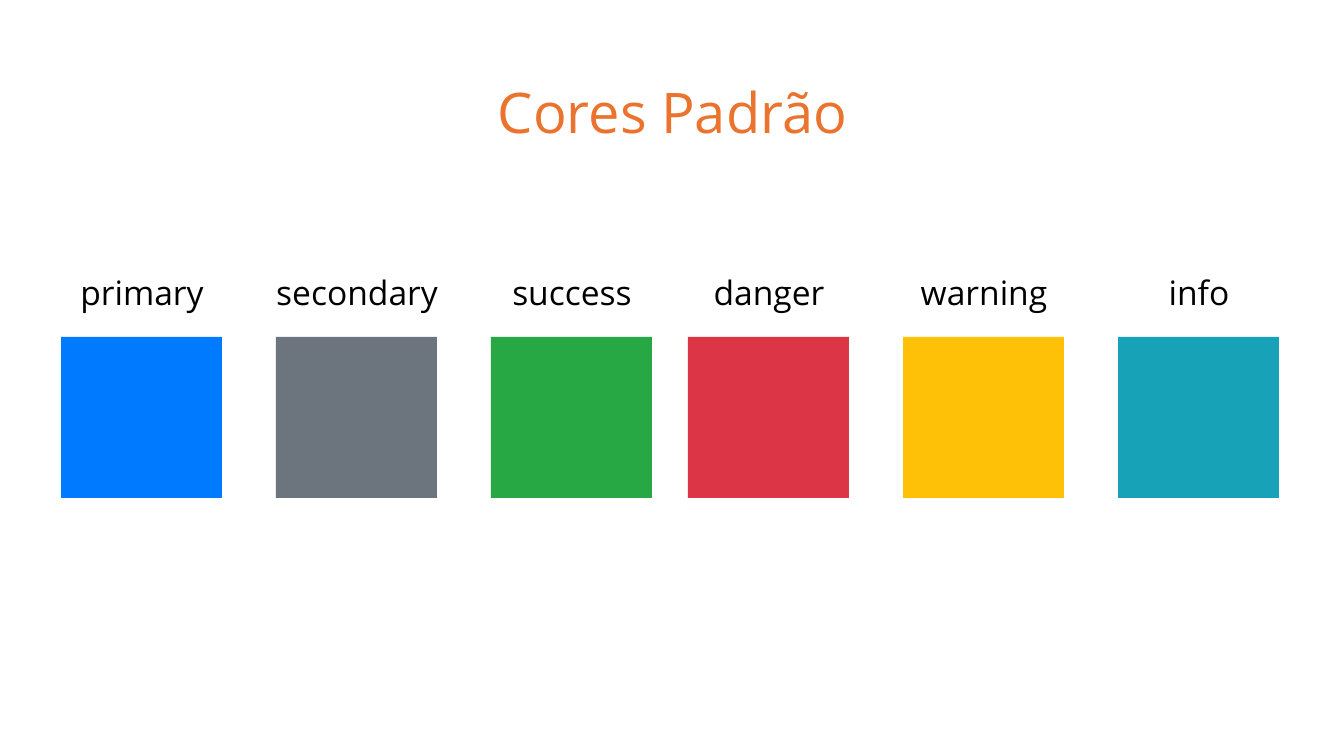
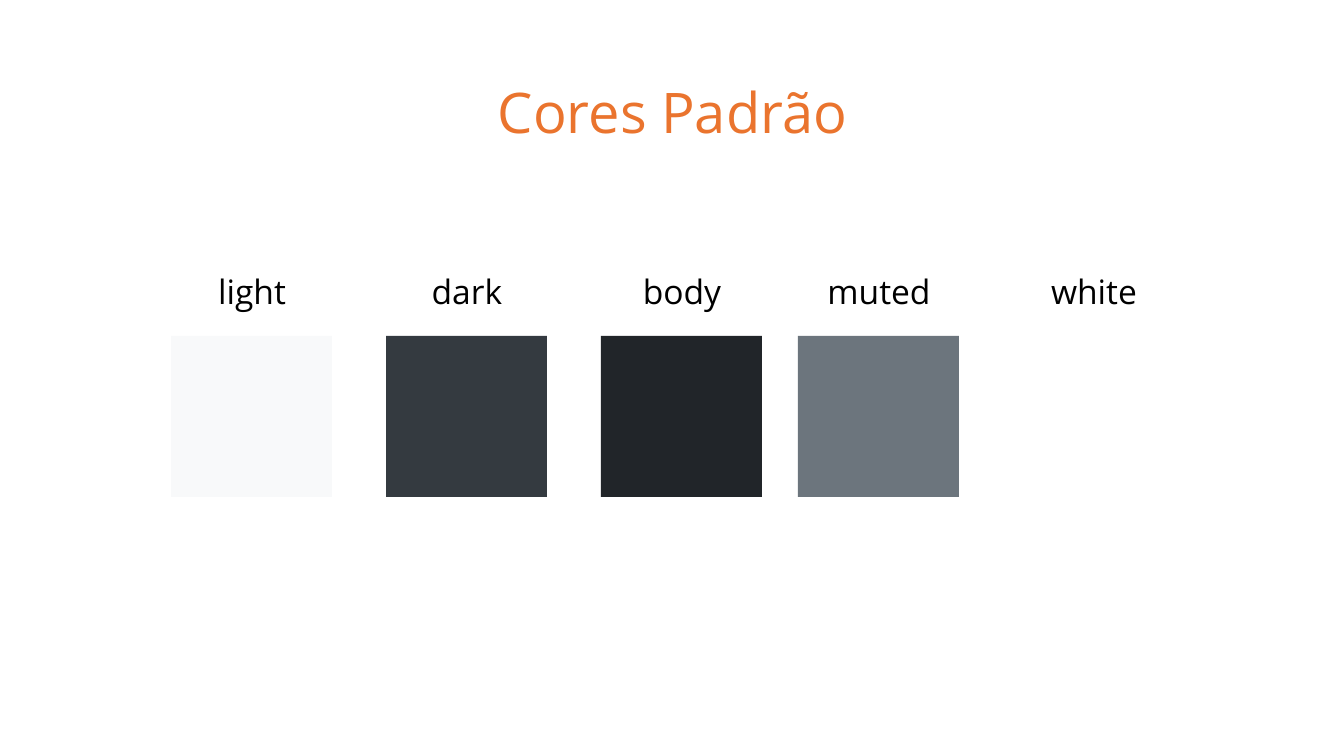
from dataclasses import dataclass

from pptx import Presentation
from pptx.dml.color import RGBColor
from pptx.enum.shapes import MSO_SHAPE as Preset
from pptx.enum.text import MSO_ANCHOR as Anchor, MSO_AUTO_SIZE as AutoSize, PP_ALIGN as Align
from pptx.util import Emu, Pt

PX_PER_INCH = 134.4
FONT = "Open Sans"
ORANGE = "EA742E"
BLACK = "000000"
HEADING = "Cores Padrão"

INSET = 13
SWATCH_SIZE = 161
SWATCH_PITCH = 215
GROUP_SIZE = 3  # swatches before the tighter gap
GROUP_PULL = 18
LABEL_WIDTH, LABEL_HEIGHT = 192, 66
LABEL_SHIFT, LABEL_RISE = 15, 78


@dataclass(frozen=True)
class Swatch:
    label: str
    fill: str


@dataclass(frozen=True)
class Palette:
    left: int
    top: int
    swatches: tuple[Swatch, ...]


PALETTES = (
    Palette(61, 337, (
        Swatch("primary", "007BFF"),
        Swatch("secondary", "6C757D"),
        Swatch("success", "28A745"),
        Swatch("danger", "DC3545"),
        Swatch("warning", "FFC107"),
        Swatch("info", "17A2B8"),
    )),
    Palette(171, 336, (
        Swatch("light", "F8F9FA"),
        Swatch("dark", "343A40"),
        Swatch("body", "212529"),
        Swatch("muted", "6C757D"),
        Swatch("white", "FFFFFF"),
    )),
)


def px(length: int) -> Emu:
    return Emu(round(length * 914400 / PX_PER_INCH))


def color(value: str) -> RGBColor:
    return RGBColor.from_string(value)


def write(shape, text: str, size: int, ink: str) -> None:
    """Fill a shape with one centred line in the deck's type style."""
    frame = shape.text_frame
    frame.text = text
    frame.word_wrap = True
    frame.auto_size = AutoSize.NONE
    frame.vertical_anchor = Anchor.TOP
    frame.margin_left = frame.margin_right = px(INSET)
    frame.margin_top = frame.margin_bottom = px(INSET)
    line = frame.paragraphs[0]
    line.alignment = Align.CENTER
    line.space_after = Pt(10)
    font = line.runs[0].font
    font.name = FONT
    font.size = Pt(size)
    font.color.rgb = color(ink)


def add_heading(slide) -> None:
    heading = slide.shapes.title
    heading.left, heading.top = px(46), px(65)
    heading.width, heading.height = px(1253), px(85)
    write(heading, HEADING, 30, ORANGE)


def add_swatch(slide, swatch: Swatch, left: int, top: int) -> None:
    square = slide.shapes.add_shape(
        Preset.RECTANGLE, px(left), px(top), px(SWATCH_SIZE), px(SWATCH_SIZE))
    square.shadow.inherit = False
    square.fill.solid()
    square.fill.fore_color.rgb = color(swatch.fill)
    square.line.fill.background()
    label = slide.shapes.add_textbox(
        px(left - LABEL_SHIFT), px(top - LABEL_RISE), px(LABEL_WIDTH), px(LABEL_HEIGHT))
    write(label, swatch.label, 18, BLACK)


def add_palette_slide(deck, palette: Palette) -> None:
    slide = deck.slides.add_slide(deck.slide_layouts[0])
    subtitle = slide.placeholders[1].element
    subtitle.getparent().remove(subtitle)
    add_heading(slide)
    for index, swatch in enumerate(palette.swatches):
        pull = GROUP_PULL * (index // GROUP_SIZE)
        add_swatch(slide, swatch, palette.left + index * SWATCH_PITCH - pull, palette.top)


def main() -> None:
    deck = Presentation()
    deck.slide_width, deck.slide_height = px(1344), px(756)
    for palette in PALETTES:
        add_palette_slide(deck, palette)
    deck.save("out.pptx")


if __name__ == "__main__":
    main()
